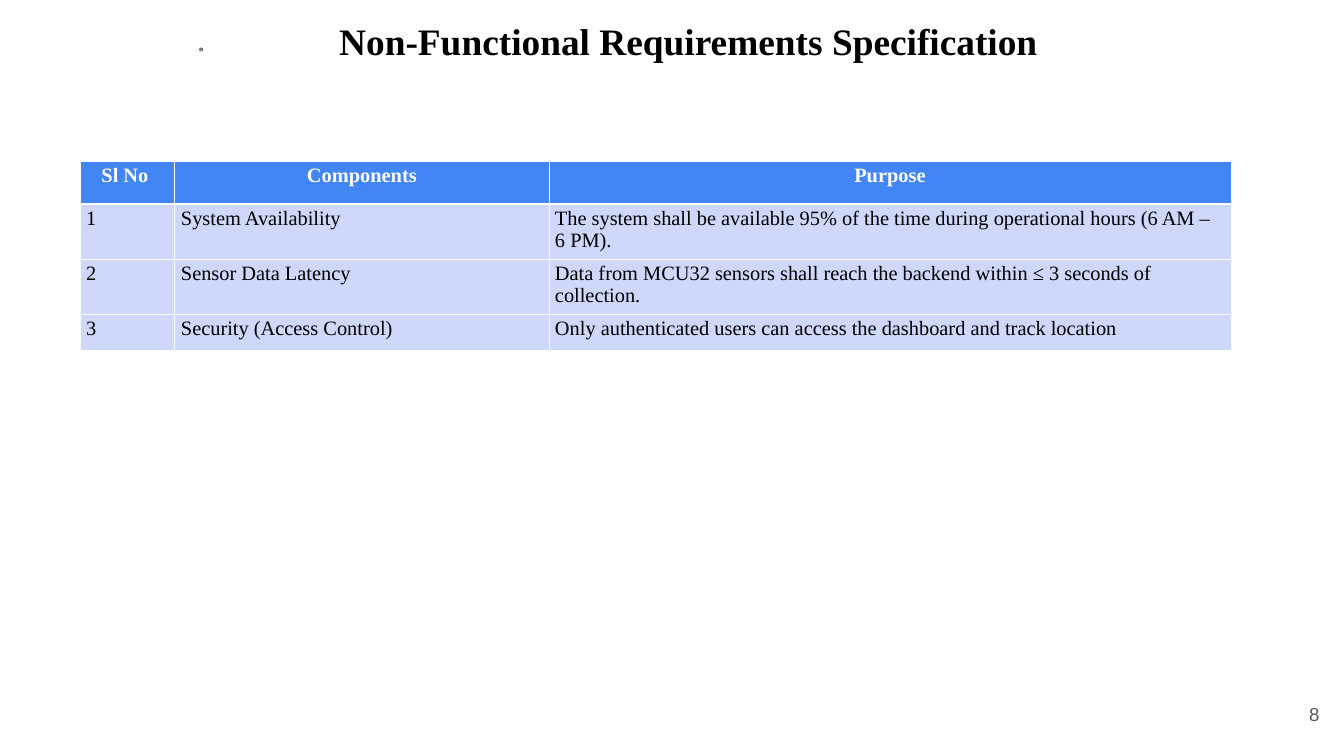
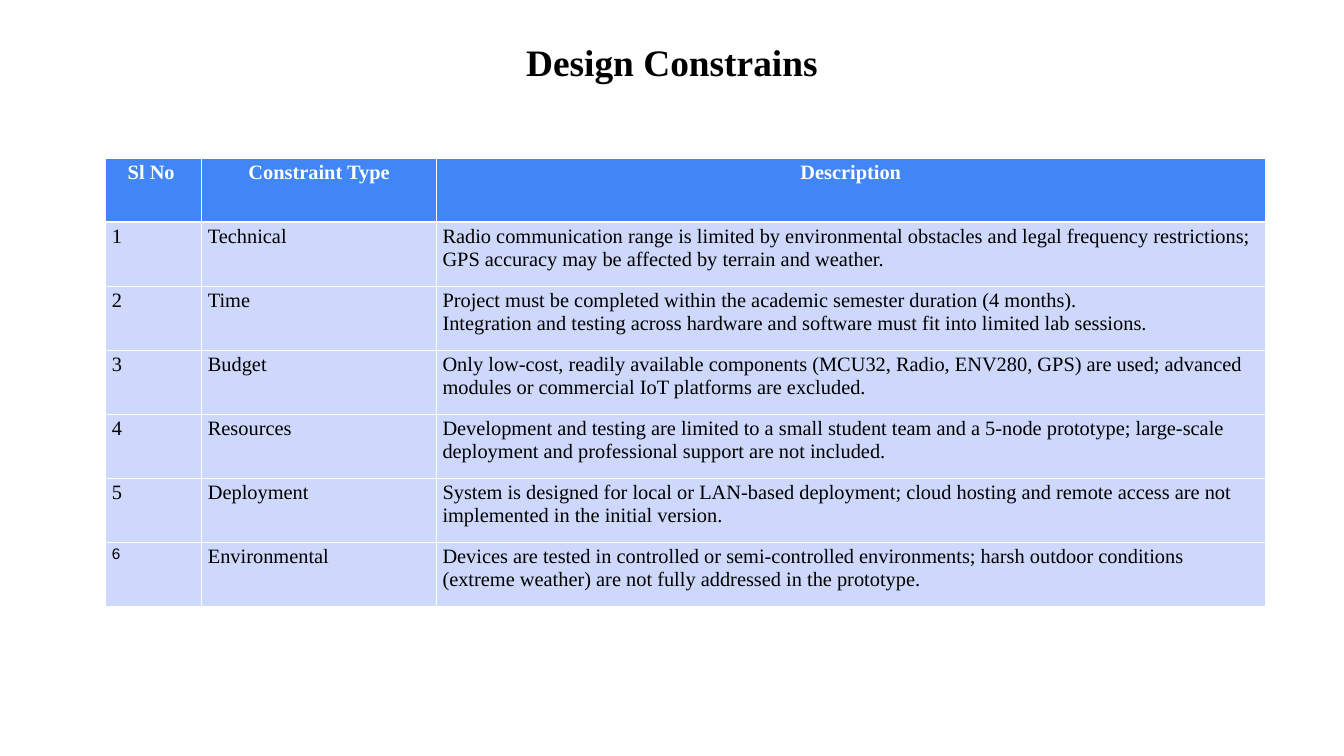
from lxml.etree import SubElement
from pptx import Presentation
from pptx.dml.color import RGBColor
from pptx.enum.shapes import MSO_SHAPE
from pptx.enum.text import MSO_ANCHOR, PP_ALIGN
from pptx.oxml.ns import qn
from pptx.util import Inches, Pt

BLACK = RGBColor(0x00, 0x00, 0x00)
WHITE = RGBColor(0xFF, 0xFF, 0xFF)
GREY = RGBColor(0x59, 0x59, 0x59)
INK = RGBColor(0x23, 0x1F, 0x20)
BLUE = RGBColor(0x42, 0x85, 0xF4)
PALE = RGBColor(0xCD, 0xD8, 0xFB)
SERIF = "Times New Roman"
SANS = "Arial"
TITLE = dict(size=44, bold=True, align=PP_ALIGN.CENTER)
HEAD = dict(bold=True, color=WHITE, align=PP_ALIGN.CENTER)

deck = Presentation()
deck.slide_width = Inches(21.99)
deck.slide_height = Inches(12.37)
COL = deck.slide_width / 100
ROW = deck.slide_height / 100


def place(left, top, width, height):
    return int(left * COL), int(top * ROW), int(width * COL), int(height * ROW)


def write(frame, text, size=24, font=SERIF, color=BLACK, bold=False,
          align=PP_ALIGN.LEFT, line=None):
    frame.word_wrap = True
    for i, part in enumerate(text.split("\n")):
        para = frame.add_paragraph() if i else frame.paragraphs[0]
        para.alignment = align
        para.line_spacing = line
        run = para.add_run()
        run.text = part
        run.font.size = Pt(size)
        run.font.name = font
        run.font.bold = bold
        run.font.color.rgb = color


pages = [
    dict(
        title="Non-Functional Requirements Specification ",
        box=(25.15, 2.59, 52.89, 5.66), anchor=MSO_ANCHOR.MIDDLE, line=None,
        left=5.96, top=21.34,
        cols=[7.05, 27.83, 50.75], rows=[5.66, 6.75, 6.75, 4.85],
        head=["Sl No ", "Components", "Purpose"],
        body=[
            ("System Availability",
             "The system shall be available 95% of the time during operational hours (6 AM – 6 PM)."),
            ("Sensor Data Latency",
             "Data from MCU32 sensors shall reach the backend within ≤ 3 seconds of collection."),
            ("Security (Access Control)",
             "Only authenticated users can access the dashboard and track location"),
        ],
    ),
    dict(
        title="Design Constrains",
        box=(37.43, 5.82, 25.15, 11.08), anchor=MSO_ANCHOR.TOP, line=0.9,
        left=7.87, top=20.94,
        cols=[7.14, 17.46, 61.66], rows=[8.47] * 7,
        head=["Sl No ", "Constraint Type", "Description"],
        body=[
            ("Technical",
             "Radio communication range is limited by environmental obstacles and legal frequency "
             "restrictions; GPS accuracy may be affected by terrain and weather."),
            ("Time",
             "Project must be completed within the academic semester duration (4 months).\n"
             "Integration and testing across hardware and software must fit into limited lab sessions."),
            ("Budget",
             "Only low-cost, readily available components (MCU32, Radio, ENV280, GPS) are used; "
             "advanced modules or commercial IoT platforms are excluded."),
            ("Resources",
             "Development and testing are limited to a small student team and a 5-node prototype; "
             "large-scale deployment and professional support are not included."),
            ("Deployment",
             "System is designed for local or LAN-based deployment; cloud hosting and remote access "
             "are not implemented in the initial version."),
            ("Environmental",
             "Devices are tested in controlled or semi-controlled environments; harsh outdoor "
             "conditions (extreme weather) are not fully addressed in the prototype."),
        ],
    ),
]

for page in pages:
    slide = deck.slides.add_slide(deck.slide_layouts[6])
    frame = slide.shapes.add_textbox(*place(*page["box"])).text_frame
    frame.margin_left = frame.margin_right = frame.margin_top = frame.margin_bottom = 0
    frame.vertical_anchor = page["anchor"]
    write(frame, page["title"], line=page["line"], **TITLE)

    cols, rows = page["cols"], page["rows"]
    spot = place(page["left"], page["top"], sum(cols), sum(rows))
    table = slide.shapes.add_table(len(rows), len(cols), *spot).table
    table.horz_banding = False
    for col, width in zip(table.columns, cols):
        col.width = int(width * COL)
    for row, height in zip(table.rows, rows):
        row.height = int(height * ROW)

    lines = [page["head"]]
    lines += [(str(n), *pair) for n, pair in enumerate(page["body"], 1)]
    for r, line in enumerate(lines):
        for c, text in enumerate(line):
            cell = table.cell(r, c)
            props = cell._tc.get_or_add_tcPr()
            for side in ("lnL", "lnR", "lnT", "lnB"):
                thick = (r, side) in ((0, "lnB"), (1, "lnT"))
                edge = SubElement(props, qn("a:" + side), w=str(Pt(3 if thick else 1)))
                fill = SubElement(edge, qn("a:solidFill"))
                SubElement(fill, qn("a:srgbClr"), val=str(WHITE))
            cell.fill.solid()
            cell.fill.fore_color.rgb = PALE if r else BLUE
            style = {} if r else HEAD
            if text == "6":
                style = dict(size=18, font=SANS)
            write(cell.text_frame, text, **style)

first = deck.slides[0]
frame = first.shapes.add_textbox(*place(92.63, 90.62, 6, 7.6)).text_frame
frame.margin_left = frame.margin_right = frame.margin_top = frame.margin_bottom = Inches(0.1)
frame.vertical_anchor = MSO_ANCHOR.MIDDLE
write(frame, "8", size=22, font=SANS, color=GREY, align=PP_ALIGN.RIGHT)

ring = first.shapes.add_shape(MSO_SHAPE.DONUT, *place(14.83, 6.31, 0.27, 0.49))
ring.adjustments[0] = 0.12
pen = first.shapes.build_freeform(0, 0, scale=Inches(0.03) / 4)
pen.add_line_segments([(3, 0), (4, 1), (3, 2), (4, 4), (3, 4), (2, 2), (1, 2), (1, 4), (0, 4)])
mark = pen.convert_to_shape(int(14.91 * COL), int(6.42 * ROW))
for shape in (ring, mark):
    shape.shadow.inherit = False
    shape.fill.solid()
    shape.fill.fore_color.rgb = INK
    shape.line.fill.background()

deck.save("out.pptx")
